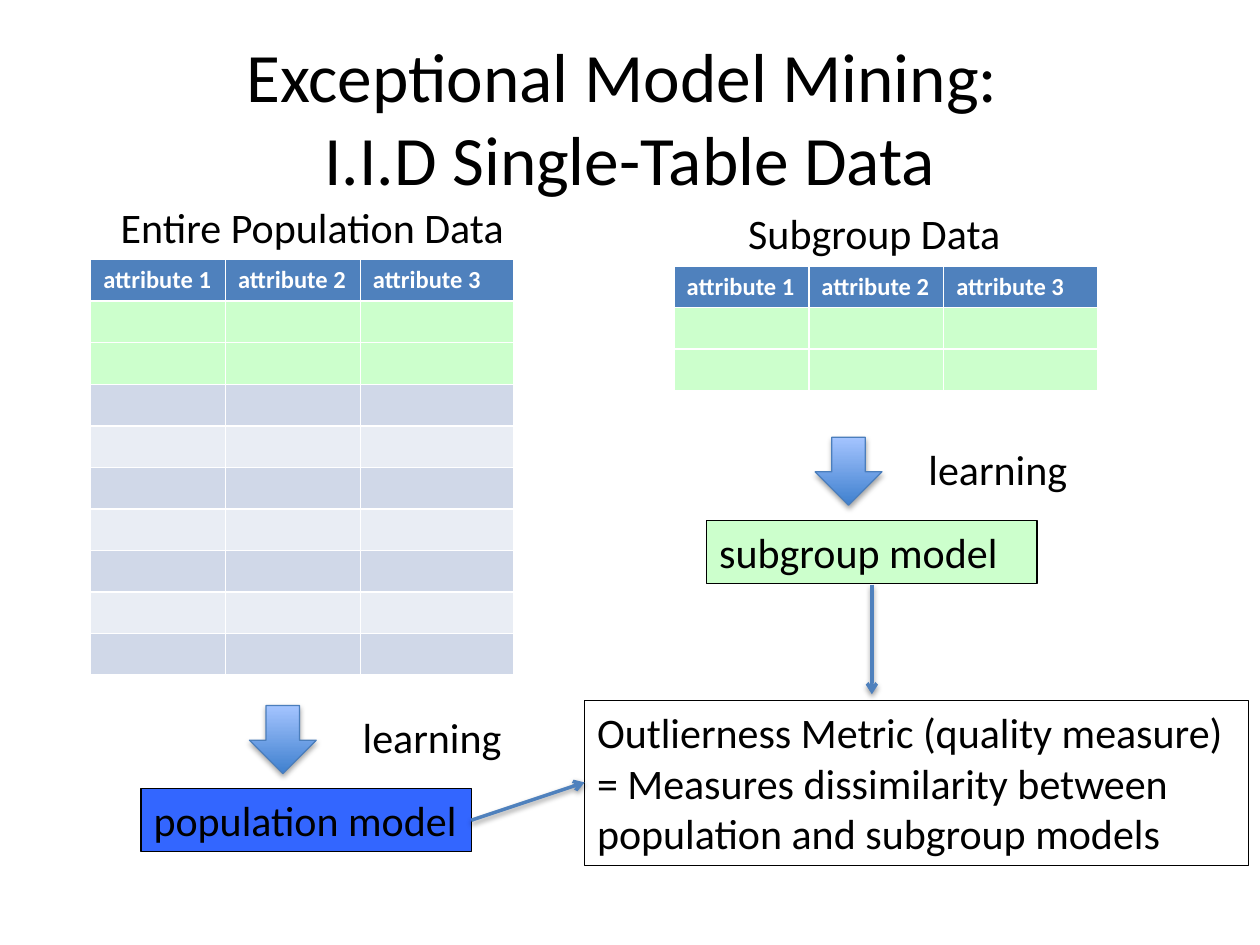
"""Builds the Exceptional Model Mining slide."""
from dataclasses import dataclass

from lxml import etree
from pptx import Presentation
from pptx.dml.color import RGBColor
from pptx.enum.shapes import MSO_CONNECTOR as Connector, MSO_SHAPE as Shape
from pptx.enum.text import MSO_ANCHOR as Anchor, MSO_AUTO_SIZE as AutoSize, PP_ALIGN as Align
from pptx.oxml import parse_xml
from pptx.oxml.ns import nsdecls, qn
from pptx.util import Inches, Pt


@dataclass(frozen=True)
class Theme:
    """Font, type sizes and colours."""
    font: str = "Calibri"
    title_size: float = 39.6
    body_size: float = 24
    table_size: float = 14
    ink: str = "000000"
    paper: str = "FFFFFF"
    accent: str = "4F81BD"
    arrow_line: str = "4B7EBC"
    arrow_dark: str = "3F80CE"
    arrow_light: str = "A4C4FF"
    subgroup: str = "CCFFCC"
    population: str = "3366FF"
    bands: tuple = ("D0D8E8", "E9EDF4")


class SlideBuilder:
    """Draws each kind of element on the current slide."""

    def __init__(self, slide, theme):
        self.slide = slide
        self.shapes = slide.shapes
        self.theme = theme

    def style(self, paragraph, size, color, bold=False):
        """Set the font of one paragraph."""
        font = paragraph.font
        font.name, font.size, font.bold = self.theme.font, Pt(size), bold
        font.color.rgb = RGBColor.from_string(color)

    def outline(self, line, color, width):
        """Set the colour and width of a line."""
        line.color.rgb = RGBColor.from_string(color)
        line.width = Pt(width)

    def shadow(self, element, opacity, distance):
        """Give a shape or connector a soft shadow below it."""
        element._element.spPr.append(parse_xml(
            f'<a:effectLst {nsdecls("a")}><a:outerShdw blurRad="{Pt(3.1)}" '
            f'dist="{Pt(distance)}" dir="5400000" rotWithShape="0">'
            f'<a:srgbClr val="{self.theme.ink}"><a:alpha val="{opacity * 1000}"/>'
            '</a:srgbClr></a:outerShdw></a:effectLst>'))

    def title(self, text, left, top, width, height):
        """Place the slide title."""
        heading = self.shapes.title
        heading.left, heading.top = Inches(left), Inches(top)
        heading.width, heading.height = Inches(width), Inches(height)
        frame = heading.text_frame
        frame.text = text
        frame.auto_size = AutoSize.NONE
        frame.vertical_anchor = Anchor.MIDDLE
        frame.paragraphs[0].alignment = Align.CENTER
        self.style(frame.paragraphs[0], self.theme.title_size, self.theme.ink)

    def label(self, text, left, top, width, height=0.5):
        """Place body text and return its shape."""
        label = self.shapes.add_textbox(*map(Inches, (left, top, width, height)))
        frame = label.text_frame
        frame.word_wrap = True
        frame.auto_size = AutoSize.SHAPE_TO_FIT_TEXT
        frame.text = text
        self.style(frame.paragraphs[0], self.theme.body_size, self.theme.ink)
        return label

    def box(self, text, left, top, width, height=0.5, fill=None):
        """Place body text in an outlined box."""
        box = self.label(text, left, top, width, height)
        if fill:
            box.fill.solid()
            box.fill.fore_color.rgb = RGBColor.from_string(fill)
        self.outline(box.line, self.theme.ink, 0.75)

    def table(self, left, top, row_fills, row_height=0.33):
        """Place an attribute table with one body row for each fill."""
        widths = (1.07, 1.07, 1.22)
        fills = (self.theme.accent, *row_fills)
        table = self.shapes.add_table(
            len(fills), len(widths), Inches(left), Inches(top),
            Inches(sum(widths)), Inches(row_height * len(fills))).table
        for column, width in zip(table.columns, widths):
            column.width = Inches(width)
        for row, fill in zip(table.rows, fills):
            for cell in row.cells:
                cell.fill.solid()
                cell.fill.fore_color.rgb = RGBColor.from_string(fill)
                cell.margin_top = cell.margin_bottom = 0
                cell.vertical_anchor = Anchor.MIDDLE
        for number, cell in enumerate(table.rows[0].cells, 1):
            cell.text = f"attribute {number}"
            self.style(cell.text_frame.paragraphs[0], self.theme.table_size,
                       self.theme.paper, bold=True)

    def learning_step(self, left, top):
        """Place a block arrow with its learning label."""
        arrow = self.shapes.add_shape(
            Shape.DOWN_ARROW, *map(Inches, (left, top, 0.53, 0.54)))
        arrow.fill.gradient()
        arrow.fill.gradient_angle = 90
        colors = (self.theme.arrow_dark, self.theme.arrow_light)
        for stop, position, color in zip(arrow.fill.gradient_stops, (0, 1), colors):
            stop.position = position
            stop.color.rgb = RGBColor.from_string(color)
        self.outline(arrow.line, self.theme.arrow_line, 0.75)
        self.shadow(arrow, 35, 1.8)
        self.label("learning", left + 0.8, top, 1.42)

    def connect(self, start, end):
        """Draw a line with an open arrowhead at its end."""
        link = self.shapes.add_connector(
            Connector.STRAIGHT, *map(Inches, (*start, *end)))
        self.outline(link.line, self.theme.accent, 2)
        etree.SubElement(link.line._get_or_add_ln(), qn("a:tailEnd"), type="arrow")
        self.shadow(link, 38, 1.6)


def main():
    """Build and save the slide."""
    deck = Presentation()
    deck.slide_width, deck.slide_height = Inches(10), Inches(7.5)
    theme = Theme()
    builder = SlideBuilder(deck.slides.add_slide(deck.slide_layouts[5]), theme)
    builder.title("Exceptional Model Mining: \vI.I.D Single-Table Data", 0.5, 0.3, 9, 1.25)

    subgroup_rows = [theme.subgroup] * 2
    other_rows = [theme.bands[index % 2] for index in range(7)]

    builder.label("Entire Population Data", 0.86, 1.55, 3.62)
    builder.table(0.72, 2.06, subgroup_rows + other_rows)
    builder.learning_step(1.98, 5.6)
    builder.box("population model", 1.12, 6.26, 2.62, fill=theme.population)

    builder.label("Subgroup Data", 5.84, 1.6, 2.37)
    builder.table(5.35, 2.11, subgroup_rows)
    builder.learning_step(6.47, 3.47)
    builder.box("subgroup model", 5.61, 4.13, 2.62, fill=theme.subgroup)

    builder.box("Outlierness Metric (quality measure) = Measures dissimilarity "
                "between population and subgroup models", 4.64, 5.56, 5.27, 1.31)
    builder.connect((3.74, 6.51), (4.64, 6.21))
    builder.connect((6.92, 4.64), (6.92, 5.51))
    deck.save("out.pptx")


if __name__ == "__main__":
    main()
